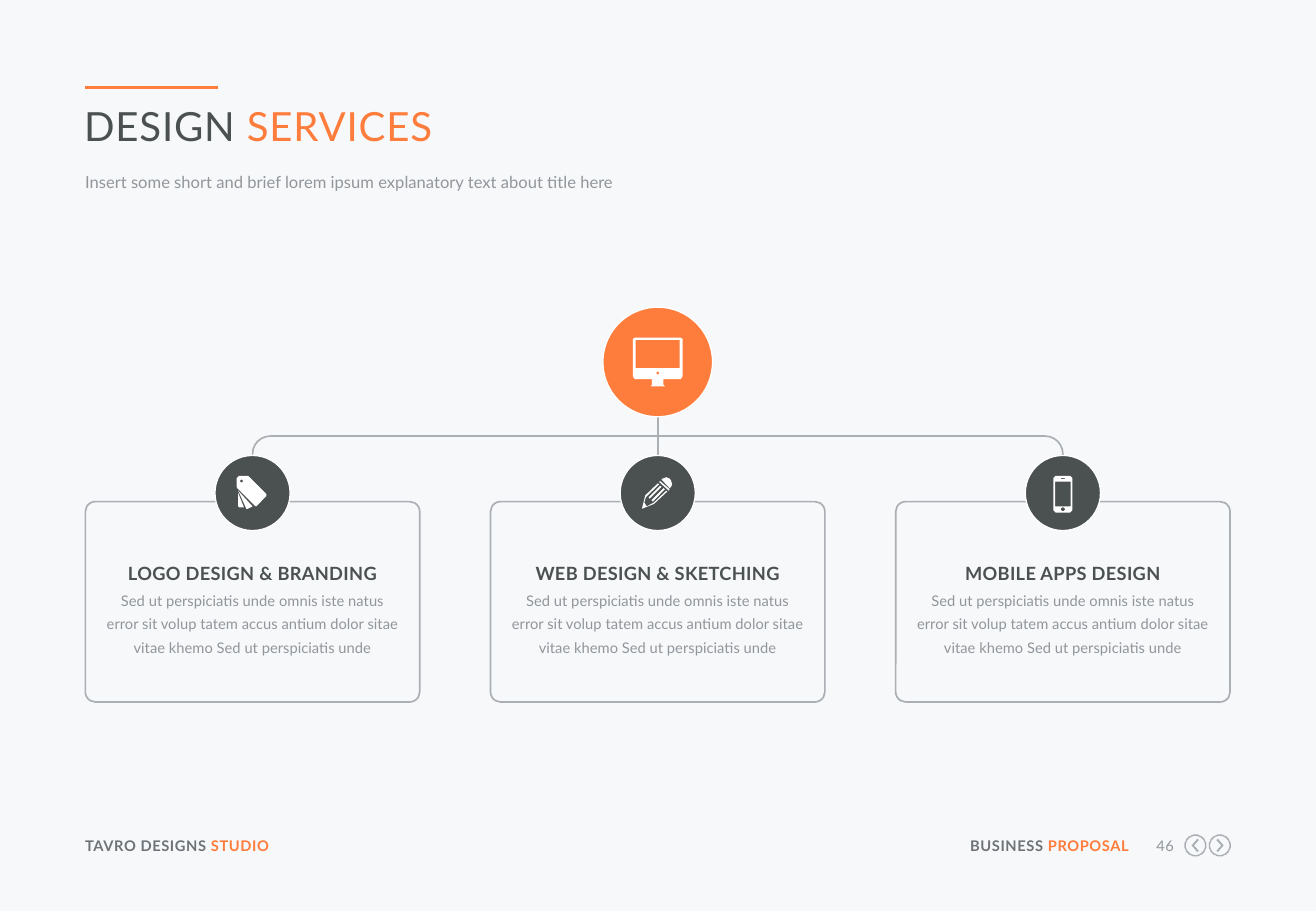
"""Build the design services slide: a hub linked to three service cards."""
from dataclasses import dataclass
from math import cos, pi, sin

from lxml.etree import SubElement
from pptx import Presentation
from pptx.dml.color import RGBColor
from pptx.enum.shapes import MSO_CONNECTOR, MSO_SHAPE
from pptx.enum.text import MSO_AUTO_SIZE, PP_ALIGN
from pptx.oxml.ns import qn
from pptx.util import Cm, Pt

COLORS = {
    "bg": "F6F8FA", "orange": "FF7D3C", "dark": "4B5050", "footer": "6E7378",
    "grey": "91969B", "line": "AAAFB4", "white": "FFFFFF",
}
Points = list[tuple[float, float]]
Runs = list[tuple[str, str]]


def circle(x: float, y: float, r: float) -> Points:
    return [(x + r * cos(i * pi / 20), y + r * sin(i * pi / 20)) for i in range(40)]


def rect(left: float, top: float, right: float, bottom: float) -> Points:
    return [(left, top), (right, top), (right, bottom), (left, bottom)]


MONITOR = [
    [(-52, -48), (-48, -51), (48, -51), (52, -48), (52, 30), (48, 36), (12, 36),
     (12, 48), (15, 51), (-15, 51), (-12, 48), (-12, 36), (-48, 36), (-52, 30)],
    rect(-46, -46, 46, 13),
    circle(0, 23, 3),
]
TAGS = [
    [(-33, -13), (-33, -31), (-28, -36), (-10, -36), (-7, -34), (29, 2), (29, 6),
     (8, 28), (5, 27), (-32, -10)],
    [(-30, -5), (0, 28), (-10, 33), (-13, 33)],
    [(-30, 0), (-18, 30), (-28, 30), (-30, 28)],
    circle(-23, -25, 3),
]
PENCIL = [
    [(-33, 33), (-26, 5), (0, -20), (3, -18), (-23, 7), (-25, 10), (-28, 20),
     (-23, 28), (-8, 20), (18, -5), (20, -3), (-8, 23)],
    [(-19, 9), (5, -15), (8, -13), (-17, 12)],
    [(-13, 15), (12, -10), (15, -8), (-10, 18)],
    [(3, -23), (5, -25), (25, -8), (23, -5)],
    [(8, -28), (10, -30), (18, -33), (25, -30), (28, -26), (30, -18), (28, -13), (25, -10)],
]
PHONE = [
    [(-20, -31), (-15, -36), (15, -36), (20, -31), (20, 36), (15, 41), (-15, 41), (-20, 36)],
    rect(-16, -24, 16, 28),
    circle(0, 34, 4),
    rect(-4, -31, 4, -29),
]
CHEVRON = [(-7, -11), (3, 0), (-7, 11), (-4, 14), (8, 0), (-4, -14)]


@dataclass
class Card:
    title: str
    icon: list[Points]


@dataclass
class Style:
    size: float
    bold: bool = False
    spacing: float = 0
    align: PP_ALIGN = PP_ALIGN.LEFT
    leading: float | None = None
    after: float | None = None
    grow: bool = True


CARDS = [
    Card("LOGO DESIGN & BRANDING", TAGS),
    Card("WEB DESIGN & SKETCHING", PENCIL),
    Card("MOBILE APPS DESIGN", PHONE),
]
BODY = ("Sed ut perspiciatis unde omnis iste natus error sit volup tatem accus antium "
        "dolor sitae vitae khemo Sed ut perspiciatis unde")
CENTER, PITCH = 13.75, 8.47
RAIL_Y, BEND = 9.12, 0.74
HUB_Y, HUB_D = 7.57, 2.29
BADGE_Y, BADGE_D = 10.31, 1.57
CARD_W, CARD_Y, CARD_H = 6.99, 10.49, 4.19
FOOTER_Y, FOOTER_H = 17.5, 0.38

TITLE = Style(23.8, spacing=0.5, grow=False)
SUBTITLE = Style(9.8, leading=13, grow=False)
FOOT_LEFT = Style(8.7, True, 0.3)
FOOT_RIGHT = Style(8.7, True, 0.3, PP_ALIGN.RIGHT)
PAGE = Style(8.7, False, 0.3, PP_ALIGN.RIGHT)
CARD_TITLE = Style(10.8, True, 0.2, PP_ALIGN.CENTER, 18.4, 6.5)
CARD_BODY = Style(8.7, align=PP_ALIGN.CENTER, leading=14.1, after=6.5)


def rgb(name: str) -> RGBColor:
    return RGBColor.from_string(COLORS[name])


def add_text(slide, x: float, y: float, w: float, h: float, runs: Runs, style: Style) -> None:
    tf = slide.shapes.add_textbox(Cm(x), Cm(y), Cm(w), Cm(h)).text_frame
    tf.margin_left = tf.margin_top = tf.margin_right = tf.margin_bottom = 0
    tf.word_wrap = True
    tf.auto_size = MSO_AUTO_SIZE.SHAPE_TO_FIT_TEXT if style.grow else MSO_AUTO_SIZE.NONE
    p = tf.paragraphs[0]
    p.alignment = style.align
    if style.leading:
        p.line_spacing = Pt(style.leading)
    if style.after:
        p.space_after = Pt(style.after)
    p.font.name, p.font.size, p.font.bold = "Lato", Pt(style.size), style.bold
    for text, color in runs:
        r = p.add_run()
        r.text = text
        r.font.color.rgb = rgb(color)
        if style.spacing:
            r.font._element.set("spc", str(round(style.spacing * 100)))


def add_line(slide, x1: float, y1: float, x2: float, y2: float,
             color: str = "line", width: float = 1) -> None:
    cx = slide.shapes.add_connector(MSO_CONNECTOR.STRAIGHT, Cm(x1), Cm(y1), Cm(x2), Cm(y2))
    cx.line.color.rgb = rgb(color)
    cx.line.width = Pt(width)
    SubElement(cx._element.spPr, qn("a:effectLst"))


def add_preset(slide, kind: MSO_SHAPE, x: float, y: float, w: float, h: float,
               adjust: tuple[float, ...] = (), fill: str | None = None,
               line: str = "line", width: float = 1) -> None:
    sp = slide.shapes.add_shape(kind, Cm(x), Cm(y), Cm(w), Cm(h))
    sp.shadow.inherit = False
    for i, value in enumerate(adjust):
        sp.adjustments[i] = value
    if fill:
        sp.fill.solid()
        sp.fill.fore_color.rgb = rgb(fill)
    else:
        sp.fill.background()
    sp.line.color.rgb = rgb(line)
    sp.line.width = Pt(width)


def add_icon(slide, x: float, y: float, outlines: list[Points], color: str = "white") -> None:
    fb = slide.shapes.build_freeform(*outlines[0][0], scale=Cm(0.01))
    fb.add_line_segments(outlines[0][1:])
    for outline in outlines[1:]:
        fb.move_to(*outline[0])
        fb.add_line_segments(outline[1:])
    sp = fb.convert_to_shape(Cm(x), Cm(y))
    sp.shadow.inherit = False
    sp.fill.solid()
    sp.fill.fore_color.rgb = rgb(color)
    sp.line.fill.background()


def add_badge(slide, x: float, y: float, d: float, fill: str, icon: list[Points]) -> None:
    add_preset(slide, MSO_SHAPE.OVAL, x - d / 2, y - d / 2, d, d,
               fill=fill, line="white", width=0.75)
    add_icon(slide, x, y, icon)


def add_branch(slide, side: int) -> None:
    x = CENTER + side * PITCH
    angles = (108, 162) if side < 0 else (162, 0)
    add_preset(slide, MSO_SHAPE.ARC, x - (BEND if side > 0 else 0), RAIL_Y, BEND, BEND, angles)
    add_line(slide, x, RAIL_Y + BEND / 2, x, 9.63)
    add_line(slide, x - side * BEND / 2, RAIL_Y, CENTER, RAIL_Y)


def add_card(slide, x: float, card: Card) -> None:
    add_preset(slide, MSO_SHAPE.ROUNDED_RECTANGLE, x - CARD_W / 2, CARD_Y, CARD_W, CARD_H, (0.05,))
    add_badge(slide, x, BADGE_Y, BADGE_D, "dark", card.icon)
    add_text(slide, x - 3.06, 11.56, 6.12, 0.64, [(card.title, "dark")], CARD_TITLE)
    add_text(slide, x - 3.05, 12.24, 6.1, 1.5, [(BODY, "grey")], CARD_BODY)


def add_frame(slide) -> None:
    add_line(slide, 1.78, 1.83, 4.55, 1.83, "orange", 2.25)
    add_text(slide, 1.76, 2.13, 23.93, 1.04, [("DESIGN", "dark"), (" SERVICES", "orange")], TITLE)
    add_text(slide, 1.78, 3.56, 23.93, 0.53, [(
        "Insert some short and brief lorem ipsum explanatory text about title here", "grey",
    )], SUBTITLE)
    add_text(slide, 1.78, FOOTER_Y, 5.36, FOOTER_H,
             [("TAVRO DESIGNS ", "footer"), ("STUDIO", "orange")], FOOT_LEFT)
    add_text(slide, 20.12, FOOTER_Y, 3.48, FOOTER_H,
             [("BUSINESS ", "footer"), ("PROPOSAL", "orange")], FOOT_RIGHT)
    add_text(slide, 23.9, FOOTER_Y, 0.64, FOOTER_H, [("46", "grey")], PAGE)
    for x, side in ((24.99, -1), (25.5, 1)):
        arrow = [(side * px, py) for px, py in CHEVRON]
        add_icon(slide, x, 17.68, [circle(0, 0, 23), circle(0, 0, 20), arrow], "line")


def main() -> None:
    prs = Presentation()
    prs.slide_width, prs.slide_height = Cm(27.51), Cm(19.05)
    slide = prs.slides.add_slide(prs.slide_layouts[6])
    slide.background.fill.solid()
    slide.background.fill.fore_color.rgb = rgb("bg")
    add_frame(slide)
    for side in (-1, 1):
        add_branch(slide, side)
    add_line(slide, CENTER, HUB_Y + HUB_D / 2, CENTER, BADGE_Y - BADGE_D / 2)
    for i, card in enumerate(CARDS):
        add_card(slide, CENTER + (i - 1) * PITCH, card)
    add_badge(slide, CENTER, HUB_Y, HUB_D, "orange", MONITOR)
    prs.save("out.pptx")


if __name__ == "__main__":
    main()
